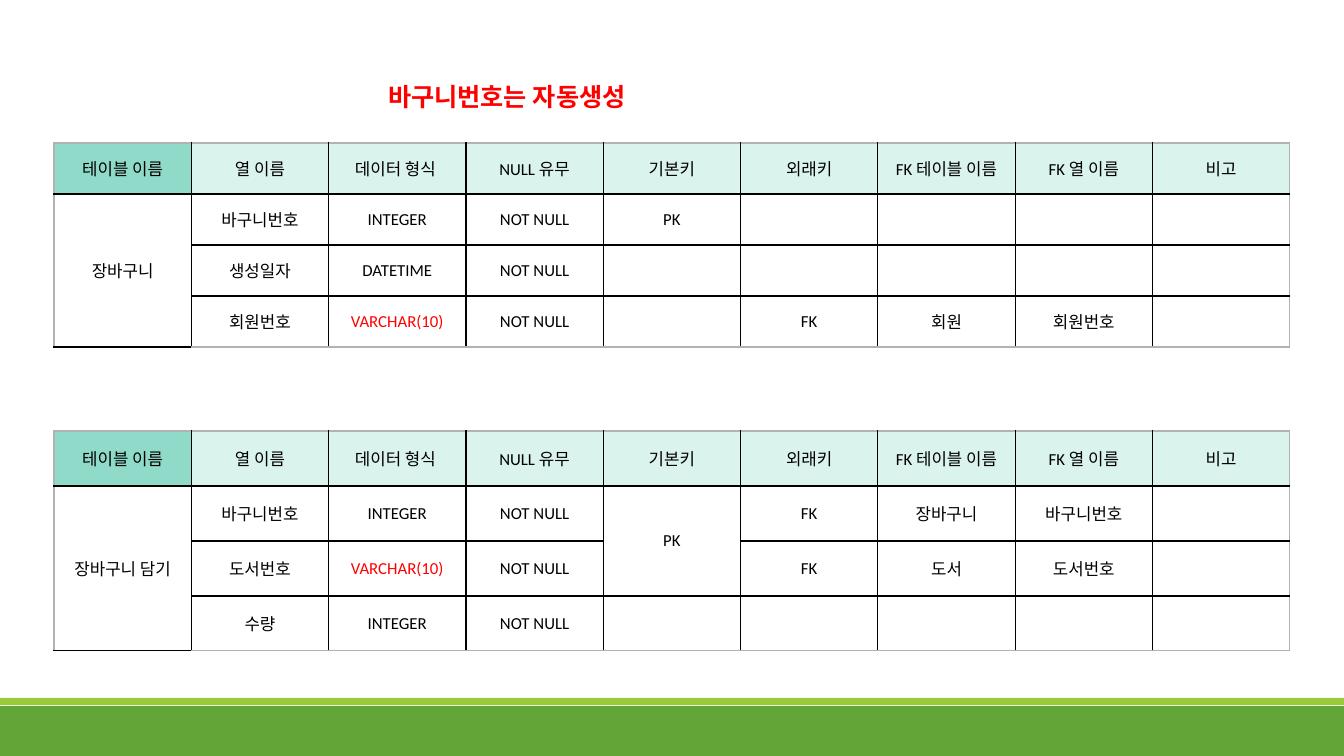
from lxml.etree import SubElement
from pptx import Presentation
from pptx.dml.color import RGBColor
from pptx.enum.shapes import MSO_SHAPE
from pptx.enum.text import MSO_ANCHOR, MSO_AUTO_SIZE, PP_ALIGN
from pptx.oxml.ns import qn
from pptx.util import Emu, Pt

# Content
TITLE = "바구니번호는 자동생성"
HEADS = ["테이블 이름", "열 이름", "데이터 형식 ", "NULL 유무", "기본키",
         "외래키", "FK 테이블 이름", "FK 열 이름", "비고"]
NEED = "NOT NULL"
CODE = "VARCHAR(10)"
# Each merge gives its first and last cell as (row, column)
TABLES = [
    {"top": 143, "row": 51, "merges": [((1, 0), (3, 0))], "rows": [
        ["장바구니", "바구니번호", "INTEGER", NEED, "PK", "", "", "", ""],
        ["", "생성일자", "DATETIME", NEED, "", "", "", "", ""],
        ["", "회원번호", CODE, NEED, "", "FK", "회원", "회원번호", ""]]},
    {"top": 431, "row": 55, "merges": [((1, 0), (3, 0)), ((1, 4), (2, 4))], "rows": [
        ["장바구니 담기", "바구니번호", "INTEGER", NEED, "PK", "FK", "장바구니", "바구니번호", ""],
        ["", "도서번호", CODE, NEED, "", "FK", "도서", "도서번호", ""],
        ["", "수량", "INTEGER", NEED, "", "", "", "", ""]]},
]

# Theme and layout, in pixels
THEME = {"font": "Calibri", "title": 18, "body": 12, "ink": "000000", "alert": "FF0000",
         "key": "8FDAC8", "head": "DAF3ED", "cell": "FFFFFF", "edge": "B2B2B2",
         "band": "63A537", "strip": "99CB38"}
WIDE, HIGH = 1344, 756
LEFT, SPAN = 54, 1236
BANDS = [(706, 50, "band"), (698, 7, "strip")]


def px(num):
    return Emu(round(num * 914400 / 100.8))


def tint(name):
    return RGBColor.from_string(THEME[name])


def write(frame, text, size="body", color="ink", bold=False, align=PP_ALIGN.CENTER):
    para = frame.paragraphs[0]
    para.alignment = align
    run = para.add_run()
    run.text = text
    font = run.font
    font.name, font.size, font.bold = THEME["font"], Pt(THEME[size]), bold
    font.color.rgb = tint(color)


def border(cell, sides):
    props = cell._tc.get_or_add_tcPr()
    for side, outer in sides.items():
        line = SubElement(props, qn("a:ln" + side), w=str(Pt(1)))
        fill = SubElement(line, qn("a:solidFill"))
        SubElement(fill, qn("a:srgbClr"), val=THEME["edge" if outer else "ink"])


def draw(slide, top, row, merges, rows):
    grid = [HEADS] + rows
    last, end = len(grid) - 1, len(HEADS) - 1
    table = slide.shapes.add_table(len(grid), len(HEADS), px(LEFT), px(top),
                                   px(SPAN), px(row * len(grid))).table
    table.first_row = table.horz_banding = False
    for r, line in enumerate(grid):
        for c, text in enumerate(line):
            cell = table.cell(r, c)
            border(cell, {"L": c == 0, "R": c == end, "T": r == 0, "B": r == last})
            cell.fill.solid()
            cell.fill.fore_color.rgb = tint("cell" if r else "head" if c else "key")
            cell.vertical_anchor = MSO_ANCHOR.MIDDLE
            if text:
                write(cell.text_frame, text, color="alert" if text == CODE else "ink")
    for start, stop in merges:
        table.cell(*start).merge(table.cell(*stop))


deck = Presentation()
deck.slide_width, deck.slide_height = px(WIDE), px(HIGH)
slide = deck.slides.add_slide(deck.slide_layouts[5])

# Footer bands
for top, high, color in BANDS:
    band = slide.shapes.add_shape(MSO_SHAPE.RECTANGLE, 0, px(top), px(WIDE), px(high))
    band.shadow.inherit = False
    band.fill.solid()
    band.fill.fore_color.rgb = tint(color)
    band.line.fill.background()

# Tables
for item in TABLES:
    draw(slide, **item)

# Title
title = slide.shapes.title
title.left, title.top, title.width, title.height = px(378), px(76), px(433), px(40)
frame = title.text_frame
frame.auto_size, frame.word_wrap = MSO_AUTO_SIZE.NONE, True
frame.vertical_anchor = MSO_ANCHOR.TOP
write(frame, TITLE, size="title", color="alert", bold=True, align=PP_ALIGN.LEFT)

deck.save("out.pptx")
